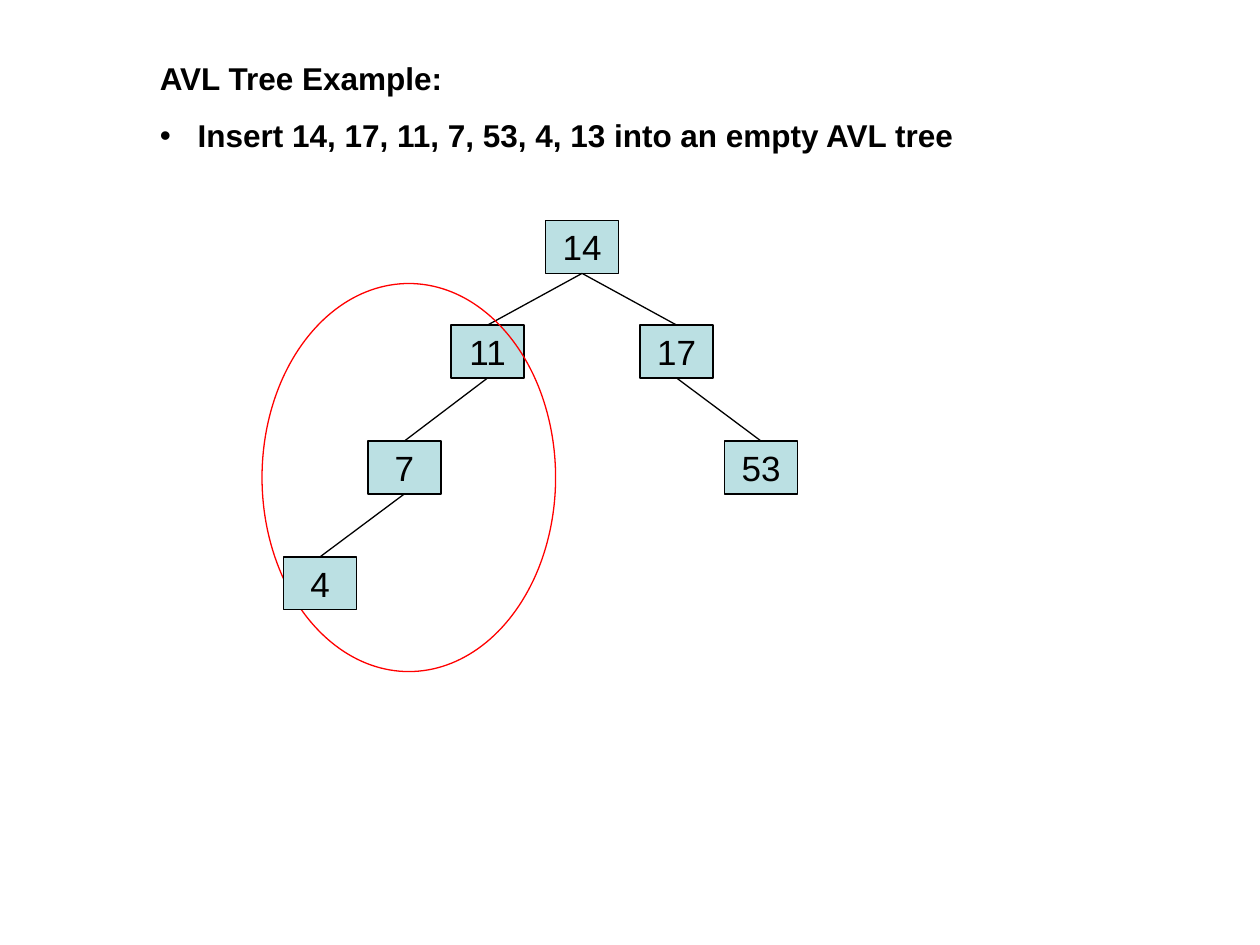
from dataclasses import dataclass
from typing import Optional

from lxml.etree import SubElement
from pptx import Presentation
from pptx.dml.color import RGBColor
from pptx.enum.shapes import MSO_CONNECTOR, MSO_SHAPE
from pptx.enum.text import MSO_ANCHOR, PP_ALIGN
from pptx.oxml.ns import qn
from pptx.shapes.autoshape import Shape
from pptx.slide import Slide
from pptx.text.text import _Paragraph
from pptx.util import Inches, Pt

COLORS = {"node": "BBE0E3", "ink": "000000", "highlight": "FF0000"}
FONT = "Arial"
NODE_WIDTH, NODE_HEIGHT = 0.58, 0.42
LINE_WIDTH = Pt(0.75)
BOTTOM, TOP = 2, 0


@dataclass(frozen=True)
class Node:
    """A tree key with its left and top in inches and its parent key."""

    key: int
    left: float
    top: float
    parent: Optional[int] = None


UPPER_NODES = [
    Node(14, 4.33, 1.75),
    Node(17, 5.08, 2.58, parent=14),
    Node(11, 3.58, 2.58, parent=14),
    Node(7, 2.92, 3.5, parent=11),
    Node(53, 5.75, 3.5, parent=17),
]
INSERTED_NODE = Node(4, 2.25, 4.42, parent=7)


def color(name: str) -> RGBColor:
    """Return the named palette colour."""
    return RGBColor.from_string(COLORS[name])


def style_text(paragraph: _Paragraph, size: float, bold: bool = False) -> None:
    """Set the font of a whole paragraph."""
    font = paragraph.font
    font.name, font.size, font.bold = FONT, Pt(size), bold
    font.color.rgb = color("ink")


def add_bullet(paragraph: _Paragraph, indent: float) -> None:
    """Give a paragraph a hanging bullet."""
    properties = paragraph._p.get_or_add_pPr()
    properties.set("marL", str(Inches(indent)))
    properties.set("indent", str(-Inches(indent)))
    SubElement(properties, qn("a:buFont")).set("typeface", FONT)
    SubElement(properties, qn("a:buChar")).set("char", "•")


def add_heading(slide: Slide) -> None:
    """Add the heading and the insertion task."""
    heading = slide.shapes.add_textbox(
        Inches(1.17), Inches(0.42), Inches(7.83), Inches(0.86)
    )
    frame = heading.text_frame
    frame.word_wrap = True
    title, task = frame.paragraphs[0], frame.add_paragraph()
    title.text = "AVL Tree Example:"
    task.text = "Insert 14, 17, 11, 7, 53, 4, 13 into an empty AVL tree"
    for paragraph in (title, task):
        paragraph.space_before = Pt(11.2)
        style_text(paragraph, 18, bold=True)
    add_bullet(task, 0.3)


def add_edge(slide: Slide, parent: Shape, child: Shape) -> None:
    """Join the bottom of a parent to the top of its child."""
    edge = slide.shapes.add_connector(MSO_CONNECTOR.STRAIGHT, 0, 0, 0, 0)
    edge.begin_connect(parent, BOTTOM)
    edge.end_connect(child, TOP)
    edge.line.color.rgb = color("ink")
    edge.line.width = LINE_WIDTH
    SubElement(edge._element.spPr, qn("a:effectLst"))


def add_node(slide: Slide, node: Node, boxes: dict[int, Shape]) -> None:
    """Draw a node and the edge from its parent."""
    box = slide.shapes.add_shape(
        MSO_SHAPE.RECTANGLE,
        Inches(node.left),
        Inches(node.top),
        Inches(NODE_WIDTH),
        Inches(NODE_HEIGHT),
    )
    box.shadow.inherit = False
    box.fill.solid()
    box.fill.fore_color.rgb = color("node")
    box.line.color.rgb = color("ink")
    box.line.width = LINE_WIDTH
    frame = box.text_frame
    frame.word_wrap = False
    frame.vertical_anchor = MSO_ANCHOR.MIDDLE
    label = frame.paragraphs[0]
    label.text = str(node.key)
    label.alignment = PP_ALIGN.CENTER
    style_text(label, 20)
    boxes[node.key] = box
    if node.parent is not None:
        add_edge(slide, boxes[node.parent], box)


def add_imbalance_ring(slide: Slide) -> None:
    """Circle the unbalanced subtree."""
    ring = slide.shapes.add_shape(
        MSO_SHAPE.OVAL, Inches(2.08), Inches(2.25), Inches(2.33), Inches(3.08)
    )
    ring.shadow.inherit = False
    ring.fill.background()
    ring.line.color.rgb = color("highlight")
    ring.line.width = LINE_WIDTH


def main() -> None:
    """Build and save the AVL tree slide."""
    presentation = Presentation()
    presentation.slide_width, presentation.slide_height = Inches(10), Inches(7.5)
    slide = presentation.slides.add_slide(presentation.slide_layouts[6])
    boxes: dict[int, Shape] = {}
    add_heading(slide)
    for node in UPPER_NODES:
        add_node(slide, node, boxes)
    add_imbalance_ring(slide)
    add_node(slide, INSERTED_NODE, boxes)
    presentation.save("out.pptx")


if __name__ == "__main__":
    main()
